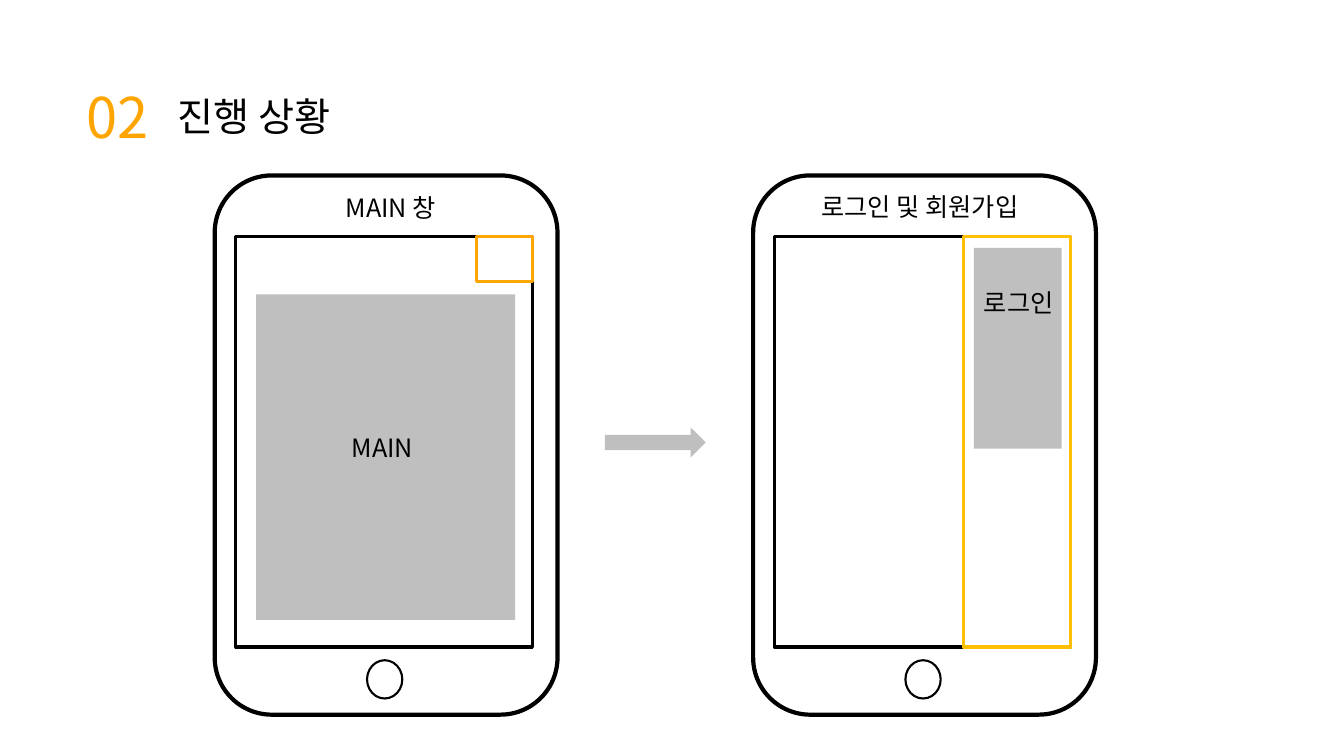
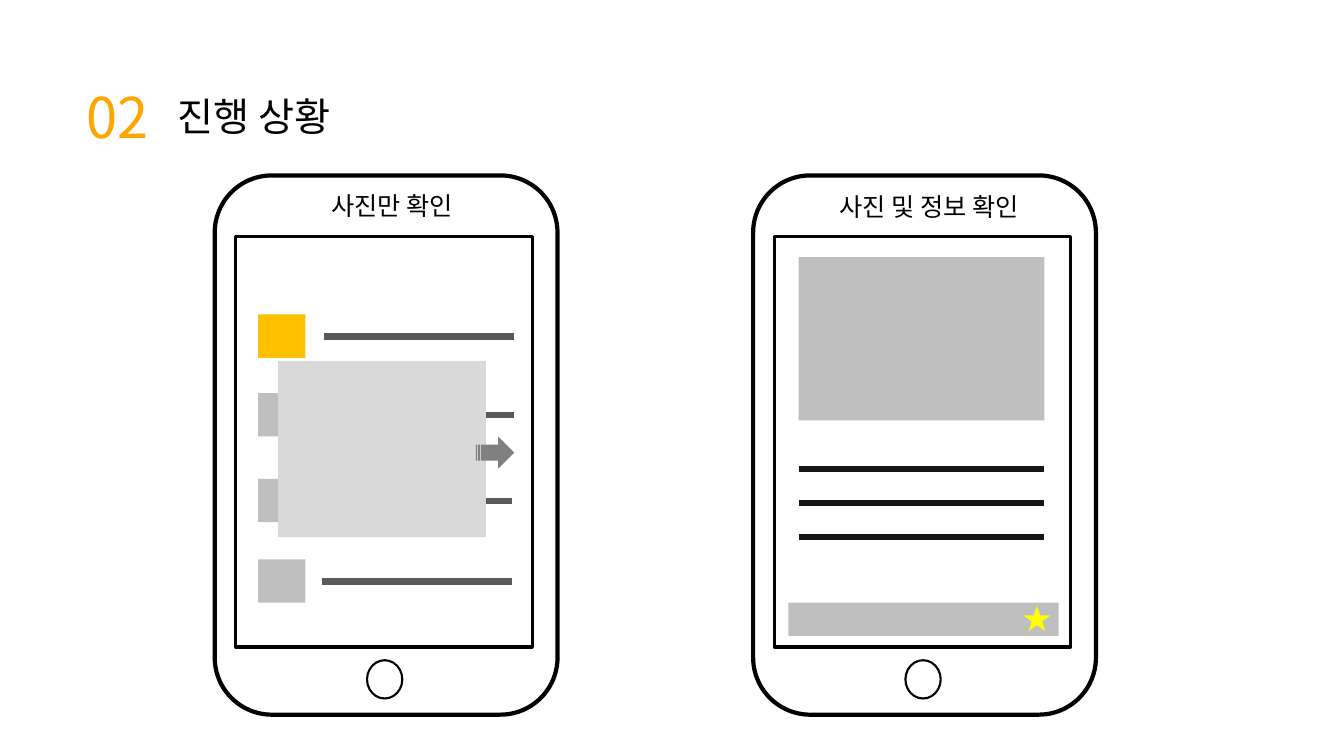
import dataclasses
import pptx
import pptx.dml.color
import pptx.enum.shapes
import pptx.enum.text
import pptx.oxml.ns
import pptx.util
import lxml.etree

SHAPE = pptx.enum.shapes.MSO_SHAPE
EMU_PER_PX = 9144


@dataclasses.dataclass(frozen=True)
class Theme:
    """Colours, font, type sizes and line widths shared by the slides."""

    font: str = "Noto Sans CJK KR"
    ink: str = "000000"
    accent: str = "FFA500"
    amber: str = "FFC000"
    star: str = "FFFF00"
    panel: str = "BFBFBF"
    popup: str = "D9D9D9"
    arrow: str = "808080"
    list_line: str = "595959"
    detail_line: str = "181717"
    number_size: int = 40
    title_size: int = 28
    label_size: int = 18
    body_width: float = 3
    frame_width: float = 2.25
    button_width: float = 1.5
    text_line_width: float = 4.5


THEME = Theme()
TITLE_BOX = (76, 77)
PHONE_BOXES = ((213, 174), (747, 174))
SCREEN_OFFSET = (21, 61)
SCREEN_SIZE = (294, 407)


def px(length):
    """Turn px into EMU."""
    return pptx.util.Emu(length * EMU_PER_PX)


def rgb(colour):
    """Turn a hex string into a colour."""
    return pptx.dml.color.RGBColor.from_string(colour)


def place(origin, box):
    """Turn a box relative to an origin into slide lengths."""
    left, top, width, height = box
    return px(origin[0] + left), px(origin[1] + top), px(width), px(height)


def add_figure(page, kind, origin, box, fill=None, line=None, width=None):
    """Add a preset shape with an optional fill and outline."""
    shape = page.shapes.add_shape(kind, *place(origin, box))
    shape.shadow.inherit = False
    if fill:
        shape.fill.solid()
        shape.fill.fore_color.rgb = rgb(fill)
    else:
        shape.fill.background()
    if line:
        shape.line.color.rgb = rgb(line)
        shape.line.width = pptx.util.Pt(width)
    else:
        shape.line.fill.background()


def add_label(page, origin, box, text, size=THEME.label_size, colour=THEME.ink):
    """Add a one-paragraph text box."""
    frame = page.shapes.add_textbox(*place(origin, box)).text_frame
    frame.word_wrap = True
    frame.auto_size = pptx.enum.text.MSO_AUTO_SIZE.SHAPE_TO_FIT_TEXT
    para = frame.paragraphs[0]
    para.text = text
    para.font.name = THEME.font
    para.font.size = pptx.util.Pt(size)
    para.font.color.rgb = rgb(colour)
    east_asian = lxml.etree.SubElement(para.font._element, pptx.oxml.ns.qn("a:ea"))
    east_asian.set("typeface", THEME.font)


def add_text_line(page, origin, left, right, top, colour):
    """Add a thick horizontal line standing for text."""
    start, end, level = px(origin[0] + left), px(origin[0] + right), px(origin[1] + top)
    line = page.shapes.add_connector(
        pptx.enum.shapes.MSO_CONNECTOR.STRAIGHT, start, level, end, level)
    line.line.color.rgb = rgb(colour)
    line.line.width = pptx.util.Pt(THEME.text_line_width)
    lxml.etree.SubElement(line._element.spPr, pptx.oxml.ns.qn("a:effectLst"))


def add_title(page, origin):
    """Add the section number and title."""
    add_label(page, origin, (0, 0, 206, 77), "02", THEME.number_size, THEME.accent)
    add_label(page, origin, (90, 10, 294, 57), "진행 상황", THEME.title_size)


def add_phone(page, origin, caption, caption_offset):
    """Add a phone outline with its caption and return the screen origin."""
    add_figure(page, SHAPE.ROUNDED_RECTANGLE, origin, (0, 0, 340, 535),
               line=THEME.ink, width=THEME.body_width)
    add_figure(page, SHAPE.RECTANGLE, origin, SCREEN_OFFSET + SCREEN_SIZE,
               line=THEME.ink, width=THEME.frame_width)
    add_figure(page, SHAPE.OVAL, origin, (151, 481, 35, 38),
               line=THEME.ink, width=THEME.button_width)
    add_label(page, origin, caption_offset + (220, 40), caption)
    return origin[0] + SCREEN_OFFSET[0], origin[1] + SCREEN_OFFSET[1]


def add_main_screen(page, screen):
    """Fill a screen with the menu button and main panel."""
    add_figure(page, SHAPE.RECTANGLE, screen, (239, 0, 55, 44),
               line=THEME.accent, width=THEME.frame_width)
    add_figure(page, SHAPE.RECTANGLE, screen, (20, 57, 257, 323), THEME.panel)
    add_label(page, screen, (105, 189, 164, 40), "MAIN")


def add_login_screen(page, screen):
    """Fill a screen with the login drawer."""
    add_figure(page, SHAPE.RECTANGLE, screen, (188, 0, 106, 407),
               line=THEME.amber, width=THEME.frame_width)
    add_figure(page, SHAPE.RECTANGLE, screen, (198, 11, 87, 199), THEME.panel)
    add_label(page, screen, (198, 45, 106, 40), "로그인")


def add_list_screen(page, screen):
    """Fill a screen with a photo list under a popup."""
    rows = ((77, 87, THEME.amber), (155, 87, THEME.panel),
            (240, 85, THEME.panel), (320, 85, THEME.panel))
    for top, line_left, fill in rows:
        add_figure(page, SHAPE.RECTANGLE, screen, (22, top, 47, 43), fill)
        add_text_line(page, screen, line_left, line_left + 189, top + 22,
                      THEME.list_line)
    add_figure(page, SHAPE.RECTANGLE, screen, (42, 123, 206, 175), THEME.popup)
    add_figure(page, SHAPE.STRIPED_RIGHT_ARROW, screen, (238, 198, 38, 32),
               THEME.arrow)


def add_detail_screen(page, screen):
    """Fill a screen with a photo, its details and a favourite bar."""
    add_figure(page, SHAPE.RECTANGLE, screen, (24, 20, 244, 162), THEME.panel)
    for row in range(3):
        add_text_line(page, screen, 24, 267, 230 + 34 * row, THEME.detail_line)
    add_figure(page, SHAPE.RECTANGLE, screen, (14, 363, 268, 33), THEME.panel)
    add_figure(page, SHAPE.STAR_5_POINT, screen, (247, 366, 27, 25), THEME.star)


def add_phones_page(deck, phones):
    """Add a titled page with a phone for each caption and screen."""
    page = deck.slides.add_slide(deck.slide_layouts[6])
    add_title(page, TITLE_BOX)
    for origin, (caption, offset, fill_screen) in zip(PHONE_BOXES, phones):
        fill_screen(page, add_phone(page, origin, caption, offset))
    return page


def main():
    """Build and save the deck."""
    deck = pptx.Presentation()
    deck.slide_width, deck.slide_height = px(1333), px(750)
    login_page = add_phones_page(deck, (
        ("MAIN 창", (120, 12), add_main_screen),
        ("로그인 및 회원가입", (58, 11), add_login_screen)))
    add_figure(login_page, SHAPE.RIGHT_ARROW, (600, 424), (0, 0, 100, 30), THEME.panel)
    add_phones_page(deck, (
        ("사진만 확인", (106, 10), add_list_screen),
        ("사진 및 정보 확인", (76, 11), add_detail_screen)))
    deck.save("out.pptx")


if __name__ == "__main__":
    main()
